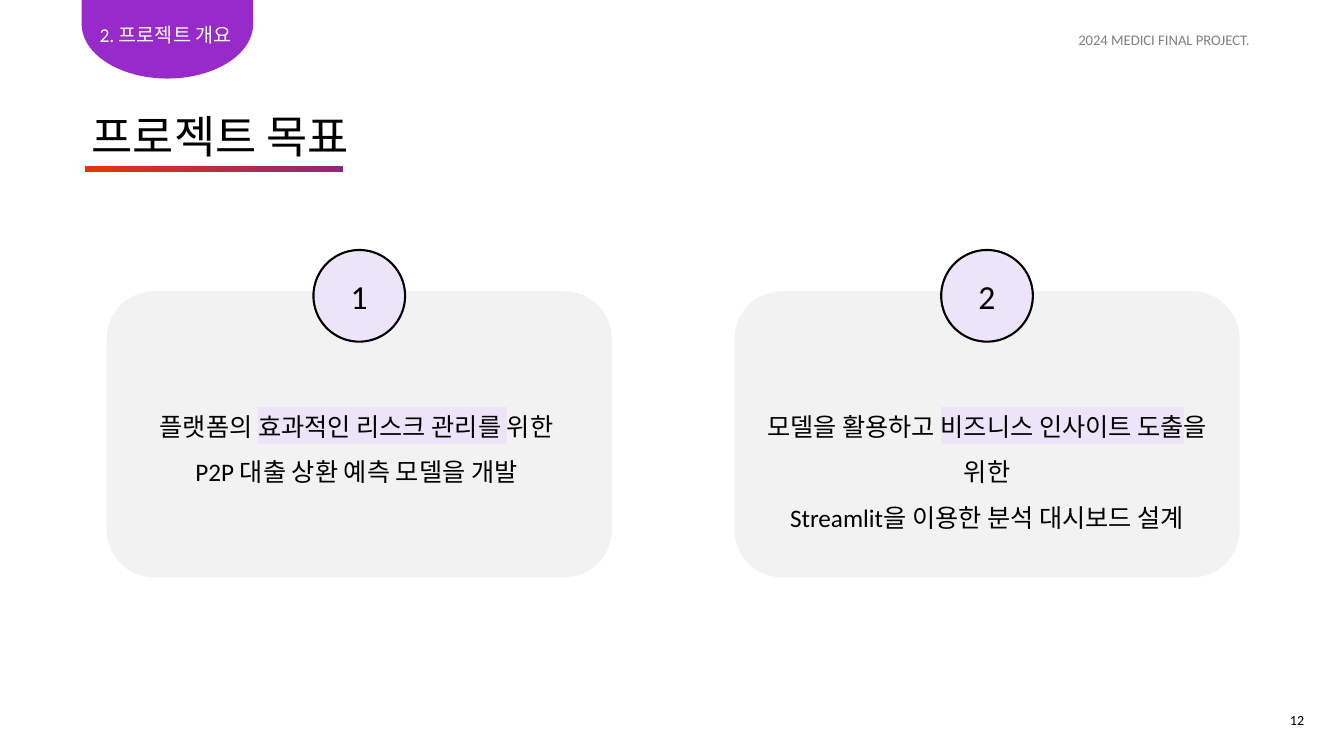
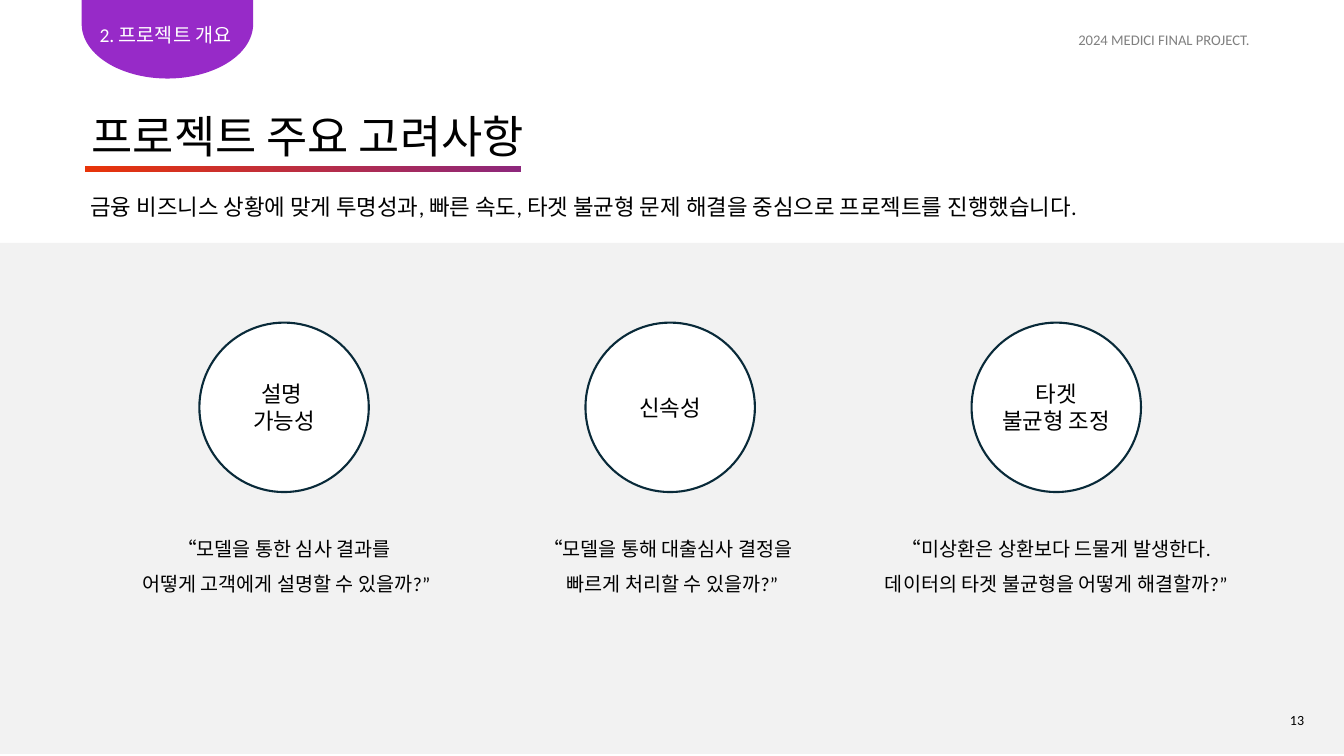
"""Build the two project overview slides: goals and key considerations."""
from math import cos, pi, sin

from lxml import etree
from pptx import Presentation
from pptx.dml.color import RGBColor
from pptx.enum.shapes import MSO_SHAPE
from pptx.enum.text import MSO_ANCHOR, PP_ALIGN
from pptx.oxml.ns import qn
from pptx.util import Cm, Pt

RECT, ROUND, OVAL = MSO_SHAPE.RECTANGLE, MSO_SHAPE.ROUNDED_RECTANGLE, MSO_SHAPE.OVAL
LEFT, MID = PP_ALIGN.LEFT, PP_ALIGN.CENTER
CENTER = MSO_ANCHOR.MIDDLE
FONT = "Calibri"
BLACK = RGBColor(0, 0, 0)
WHITE = RGBColor(0xFF, 0xFF, 0xFF)
GRAY = RGBColor(0x80, 0x80, 0x80)
PALE = RGBColor(0xF2, 0xF2, 0xF2)
VIOLET = RGBColor(0x97, 0x2A, 0xC8)
LILAC = RGBColor(0xEC, 0xE4, 0xF8)
NAVY = RGBColor(0x09, 0x2A, 0x39)
RED = RGBColor(0xE8, 0x34, 0x09)
PLUM = RGBColor(0x8D, 0x27, 0x7C)

WIDTH, HEIGHT = 33.87, 19.05
CHAPTER = "2. 프로젝트 개요"
HEADER = "2024 MEDICI FINAL PROJECT."

GOALS = [
    [("플랫폼의 ", "효과적인 리스크 관리를 ", "위한 "),
     ("P2P 대출 상환 예측 모델을 개발 ",)],
    [("모델을 활용하고 ", "비즈니스 인사이트 도출", "을 위한"),
     ("Streamlit을 이용한 분석 대시보드 설계",)],
]
LEAD = ("금융 비즈니스 상황에 맞게 투명성과, 빠른 속도, 타겟 불균형 문제 해결을 "
        "중심으로 프로젝트를 진행했습니다.")
ISSUES = [
    (["설명 ", "가능성"],
     ["“모델을 통한 심사 결과를", " 어떻게 고객에게 설명할 수 있을까?”"]),
    (["신속성"],
     ["“모델을 통해 대출심사 결정을 ", " 빠르게 처리할 수 있을까?”"]),
    (["타겟", "불균형 조정"],
     ["“미상환은 상환보다 드물게 발생한다.",
      "데이터의 타겟 불균형을 어떻게 해결할까?”"]),
]


def mark(run, color):
    """Highlight a run that already has its font colour."""
    tint = etree.Element(qn("a:highlight"))
    etree.SubElement(tint, qn("a:srgbClr"), val=str(color))
    run._r.get_or_add_rPr().find(qn("a:solidFill")).addnext(tint)


def write(frame, lines, size, color=BLACK, align=MID, space=None):
    """Fill a frame; in a line given as a tuple every second piece is marked."""
    frame.word_wrap = True
    for i, line in enumerate(lines):
        para = frame.paragraphs[0] if i == 0 else frame.add_paragraph()
        para.alignment, para.line_spacing = align, space
        for j, piece in enumerate([line] if isinstance(line, str) else line):
            run = para.add_run()
            run.text = piece
            run.font.name, run.font.size = FONT, Pt(size)
            run.font.color.rgb = color
            if j % 2:
                mark(run, LILAC)


def label(slide, box, lines, size, **style):
    """Add a text box; box is left, top, width, height in centimetres."""
    frame = slide.shapes.add_textbox(*map(Cm, box)).text_frame
    write(frame, lines, size, **style)


def block(slide, kind, box, fill=None, line=None):
    """Add a preset shape without shadow."""
    shape = slide.shapes.add_shape(kind, *map(Cm, box))
    shape.shadow.inherit = False
    if fill is not None:
        shape.fill.solid()
        shape.fill.fore_color.rgb = fill
    if line is None:
        shape.line.fill.background()
    else:
        shape.line.color.rgb, shape.line.width = line, Pt(1.5)
    return shape


def disc(slide, mid, top, size, fill, line, lines, points):
    """Add a circle centred on mid with text inside."""
    shape = block(slide, OVAL, (mid - size / 2, top, size, size), fill, line)
    frame = shape.text_frame
    frame.margin_left = frame.margin_right = 0
    frame.vertical_anchor = CENTER
    write(frame, lines, points)


def tab(slide):
    """Draw the chapter tab hanging from the top edge."""
    left, wide, side, drop, steps = 2.06, 4.32, 0.61, 1.37, 60
    mid, half = left + wide / 2, wide / 2
    turns = [pi * i / steps for i in range(steps + 1)]
    curve = [(Cm(mid + half * cos(t)), Cm(side + drop * sin(t))) for t in turns]
    form = slide.shapes.build_freeform(Cm(left), 0)
    form.add_line_segments([(Cm(left + wide), 0)] + curve, close=True)
    shape = form.convert_to_shape()
    shape.shadow.inherit = False
    shape.fill.solid()
    shape.fill.fore_color.rgb = VIOLET
    shape.line.fill.background()


def dress(slide, title, rule, number):
    """Add the tab, header, underlined title and page number."""
    tab(slide)
    label(slide, (1.75, 0.46, 4.85, 0.86), [CHAPTER], 14, color=WHITE)
    label(slide, (25.5, 0.64, 7.67, 0.74), [HEADER], 10.5, color=GRAY)
    label(slide, (2.06, 2.62, 15.57, 1.63), [title], 32, align=LEFT)
    bar = block(slide, RECT, (2.14, 4.18, rule, 0.15))
    bar.fill.gradient()
    bar.fill.gradient_angle = 0
    for stop, color in zip(bar.fill.gradient_stops, (RED, PLUM)):
        stop.color.rgb = color
    label(slide, (32.26, 17.58, 1.14, 0.84), [str(number)], 10, align=LEFT, space=1.5)


def goals(slide):
    """Lay out the two numbered goal cards."""
    dress(slide, "프로젝트 목표", 6.5, 12)
    wide, step = 12.73, 15.82
    for i, lines in enumerate(GOALS):
        left = 2.69 + i * step
        block(slide, ROUND, (left, 7.34, wide, 7.21), PALE)
        label(slide, (left, 9.86, wide, 2.44), lines, 18, space=1.5)
        disc(slide, left + wide / 2, 6.3, 2.31, LILAC, BLACK, [str(i + 1)], 24)


def issues(slide):
    """Lay out the three considerations on a pale band."""
    block(slide, RECT, (0, 6.12, WIDTH, 12.88), PALE)
    dress(slide, "프로젝트 주요 고려사항", 11, 13)
    label(slide, (2.03, 4.75, 28.02, 0.94), [LEAD], 16, align=LEFT)
    wide, step = 10.5, 9.73
    for i, (name, quote) in enumerate(ISSUES):
        mid = 7.16 + i * step
        disc(slide, mid, 8.13, 4.27, WHITE, NAVY, name, 16)
        label(slide, (mid - wide / 2, 13.11, wide, 1.96), quote, 14, space=1.5)


def main():
    """Build and save the deck."""
    deck = Presentation()
    deck.slide_width, deck.slide_height = Cm(WIDTH), Cm(HEIGHT)
    for build in (goals, issues):
        build(deck.slides.add_slide(deck.slide_layouts[6]))
    deck.save("out.pptx")


if __name__ == "__main__":
    main()
